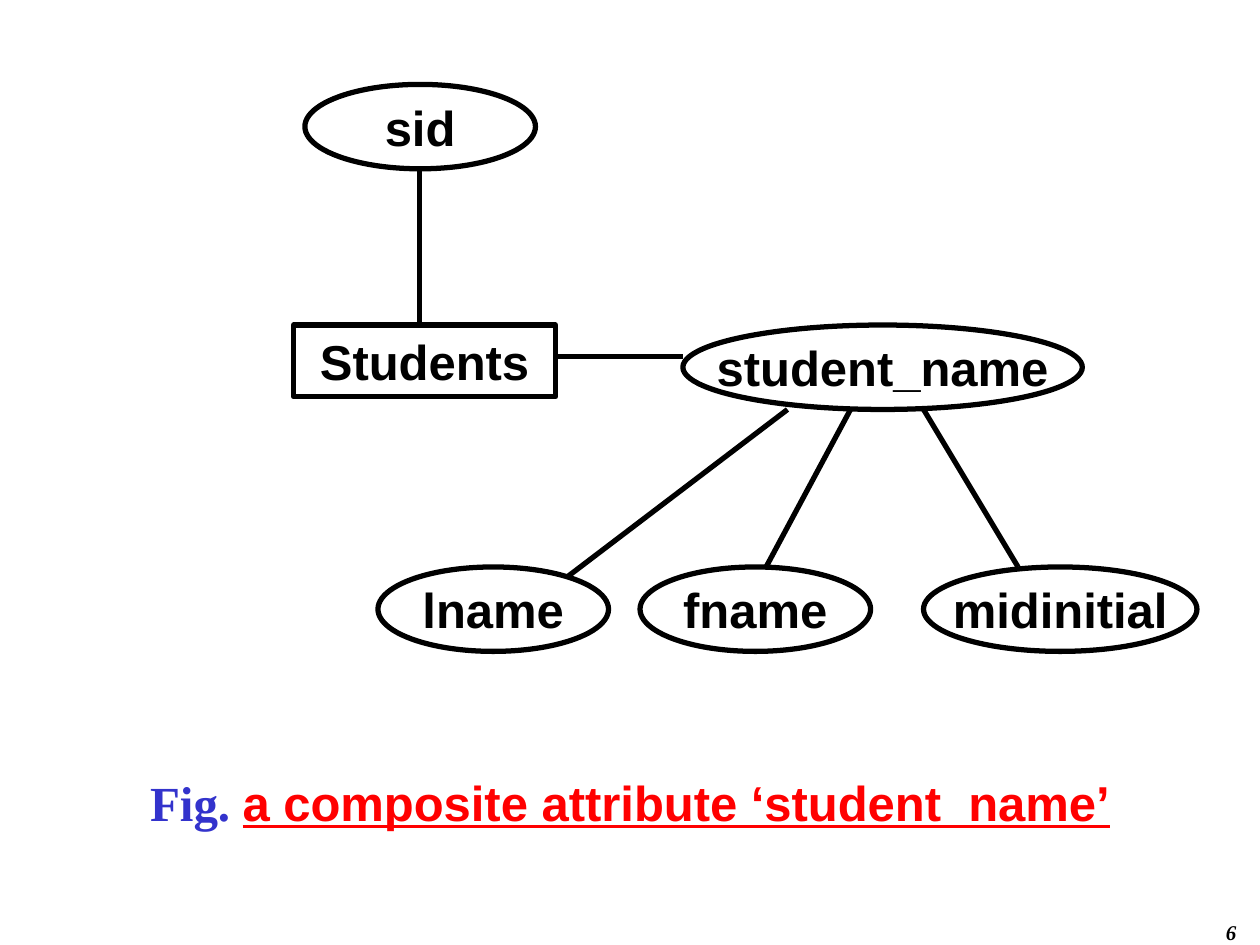
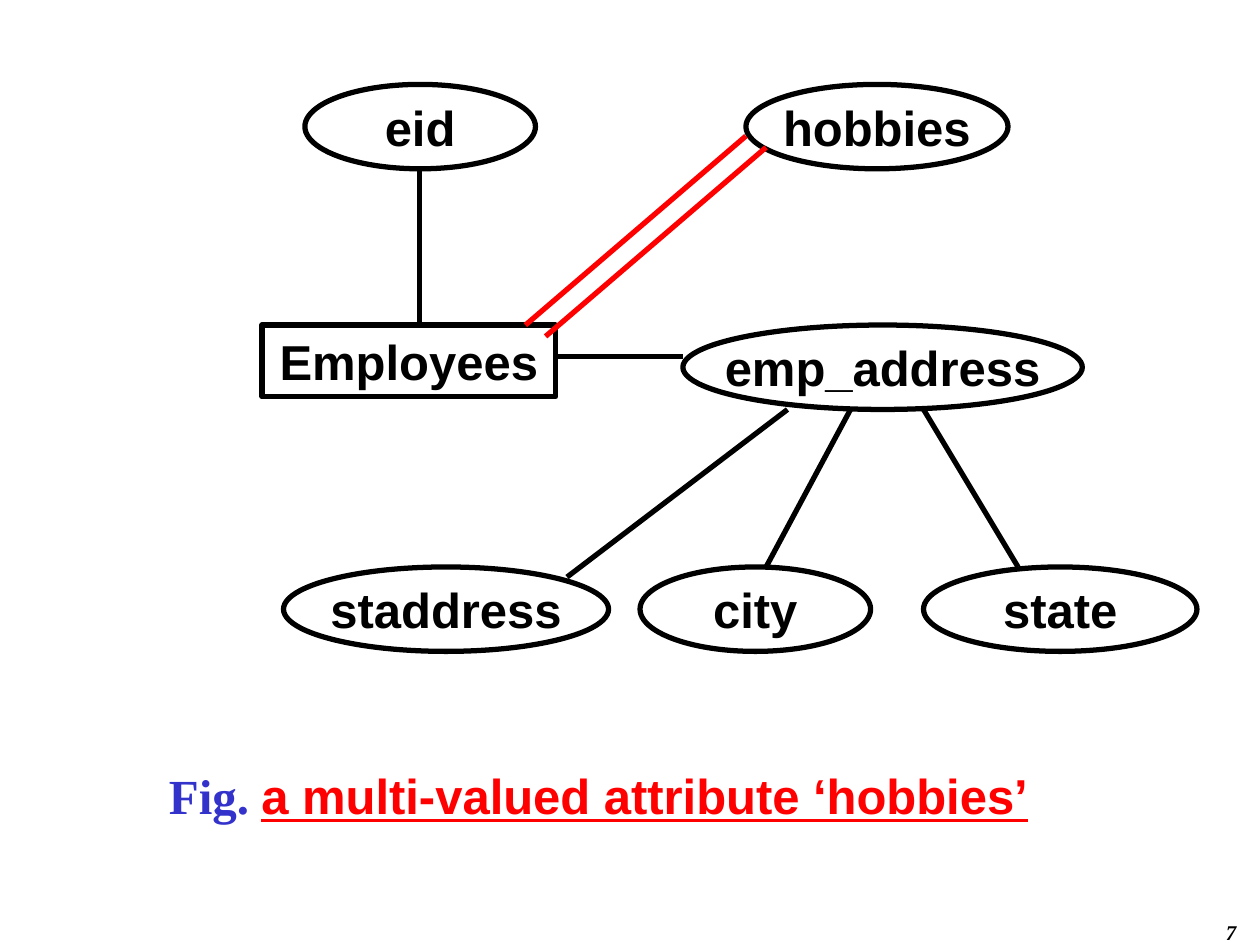
from dataclasses import dataclass

from lxml.etree import SubElement
from pptx import Presentation
from pptx.dml.color import RGBColor
from pptx.enum.shapes import MSO_CONNECTOR, MSO_SHAPE
from pptx.enum.text import MSO_ANCHOR, PP_ALIGN
from pptx.oxml.ns import qn
from pptx.util import Inches, Pt


@dataclass(frozen=True)
class Theme:
    ink: RGBColor = RGBColor(0x00, 0x00, 0x00)
    accent: RGBColor = RGBColor(0xFF, 0x00, 0x00)
    figure_mark: RGBColor = RGBColor(0x33, 0x33, 0xCC)
    sans: str = "Arial"
    serif: str = "Times New Roman"
    label_size: Pt = Pt(28)
    number_size: Pt = Pt(12)
    line_width: Pt = Pt(3)


# Shared layout, in inches
OVAL_HEIGHT = 0.67
BOX_HEIGHT = 0.57
TOP_ROW, MIDDLE_ROW, BOTTOM_ROW = 0.67, 2.58, 4.5
KEY_SPAN = (2.42, 1.83)
COMPOSITE_SPAN = (5.42, 3.17)
ENTITY_RIGHT = 4.41
KEY_LINK = ((3.33, TOP_ROW + OVAL_HEIGHT), (3.33, MIDDLE_ROW))
COMPOSITE_LINK = ((5.42, 2.83), (4.42, 2.83))
PART_LINKS = [
    ((6.25, 3.25), (4.5, 4.58)),
    ((6.75, 3.25), (6.08, 4.5)),
    ((7.33, 3.25), (8.08, 4.5)),
]
MULTI_VALUED_LINKS = [
    ((5.92, 1.08), (4.17, 2.58)),
    ((6.08, 1.17), (4.33, 2.67)),
]


class DiagramBuilder:
    def __init__(self, presentation, theme):
        self.presentation = presentation
        self.theme = theme
        self.slide = None
        self.label_format = {
            "name": theme.sans, "size": theme.label_size, "bold": True}

    def new_slide(self):
        self.slide = self.presentation.slides.add_slide(
            self.presentation.slide_layouts[6])

    def add_runs(self, shape, runs, alignment=PP_ALIGN.CENTER):
        """Fill a shape with runs given as (text, colour, font format)."""
        paragraph = shape.text_frame.paragraphs[0]
        paragraph.alignment = alignment
        for text, colour, font_format in runs:
            run = paragraph.add_run()
            run.text = text
            run.font.color.rgb = colour
            for name, value in font_format.items():
                setattr(run.font, name, value)

    def node(self, kind, text, left, top, width, height, frame_format):
        shape = self.slide.shapes.add_shape(
            kind, Inches(left), Inches(top), Inches(width), Inches(height))
        shape.shadow.inherit = False
        shape.fill.background()
        shape.line.color.rgb = self.theme.ink
        shape.line.width = self.theme.line_width
        for name, value in frame_format.items():
            setattr(shape.text_frame, name, value)
        self.add_runs(shape, [(text, self.theme.ink, self.label_format)])

    def entity(self, text, width):
        self.node(MSO_SHAPE.RECTANGLE, text, ENTITY_RIGHT - width, MIDDLE_ROW,
                  width, BOX_HEIGHT,
                  {"word_wrap": True, "vertical_anchor": MSO_ANCHOR.TOP})

    def attribute(self, text, span, top):
        left, width = span
        self.node(MSO_SHAPE.OVAL, text, left, top, width, OVAL_HEIGHT,
                  {"word_wrap": False, "vertical_anchor": MSO_ANCHOR.MIDDLE})

    def link(self, start, end, colour=None):
        connector = self.slide.shapes.add_connector(
            MSO_CONNECTOR.STRAIGHT, *map(Inches, (*start, *end)))
        connector.line.color.rgb = colour or self.theme.ink
        connector.line.width = self.theme.line_width
        SubElement(connector.element.spPr, qn("a:effectLst"))

    def text_box(self, left, top, width, height):
        shape = self.slide.shapes.add_textbox(
            Inches(left), Inches(top), Inches(width), Inches(height))
        shape.text_frame.word_wrap = True
        return shape

    def caption(self, text, left, top, width):
        shape = self.text_box(left, top, width, BOX_HEIGHT)
        self.add_runs(shape, [
            ("Fig. ", self.theme.figure_mark,
             {**self.label_format, "name": self.theme.serif}),
            (text, self.theme.accent,
             {**self.label_format, "underline": True}),
        ])

    def page_number(self, number):
        shape = self.text_box(7.83, 7.25, 2.08, 0.25)
        number_format = {"name": self.theme.serif, "bold": True,
                         "italic": True, "size": self.theme.number_size}
        self.add_runs(shape, [(str(number), self.theme.ink, number_format)],
                      PP_ALIGN.RIGHT)

    def entity_diagram(self, entity, entity_width, key, composite, parts,
                       first_part_span):
        # Entity with its key and composite attribute
        self.entity(entity, entity_width)
        self.attribute(key, KEY_SPAN, TOP_ROW)
        self.attribute(composite, COMPOSITE_SPAN, MIDDLE_ROW)

        # Components of the composite attribute
        part_spans = [first_part_span, (5.08, 1.83), (7.33, 2.17)]
        for part, span in zip(parts, part_spans):
            self.attribute(part, span, BOTTOM_ROW)
        for start, end in [KEY_LINK, COMPOSITE_LINK, *PART_LINKS]:
            self.link(start, end)


def main():
    presentation = Presentation()
    presentation.slide_width = Inches(10)
    presentation.slide_height = Inches(7.5)
    theme = Theme()
    builder = DiagramBuilder(presentation, theme)

    # Composite attribute
    builder.new_slide()
    builder.entity_diagram("Students", 2.08, "sid", "student_name",
                           ["lname", "fname", "midinitial"], (3, 1.83))
    builder.caption("a composite attribute ‘student_name’", 0.67, 6.08, 8.66)
    builder.page_number(6)

    # Multi-valued attribute, joined by a double line
    builder.new_slide()
    builder.entity_diagram("Employees", 2.33, "eid", "emp_address",
                           ["staddress", "city", "state"], (2.25, 2.58))
    builder.caption("a multi-valued attribute ‘hobbies’", 0.96, 6.03, 7.58)
    builder.attribute("hobbies", (5.92, 2.08), TOP_ROW)
    for start, end in MULTI_VALUED_LINKS:
        builder.link(start, end, theme.accent)
    builder.page_number(7)

    presentation.save("out.pptx")


if __name__ == "__main__":
    main()
